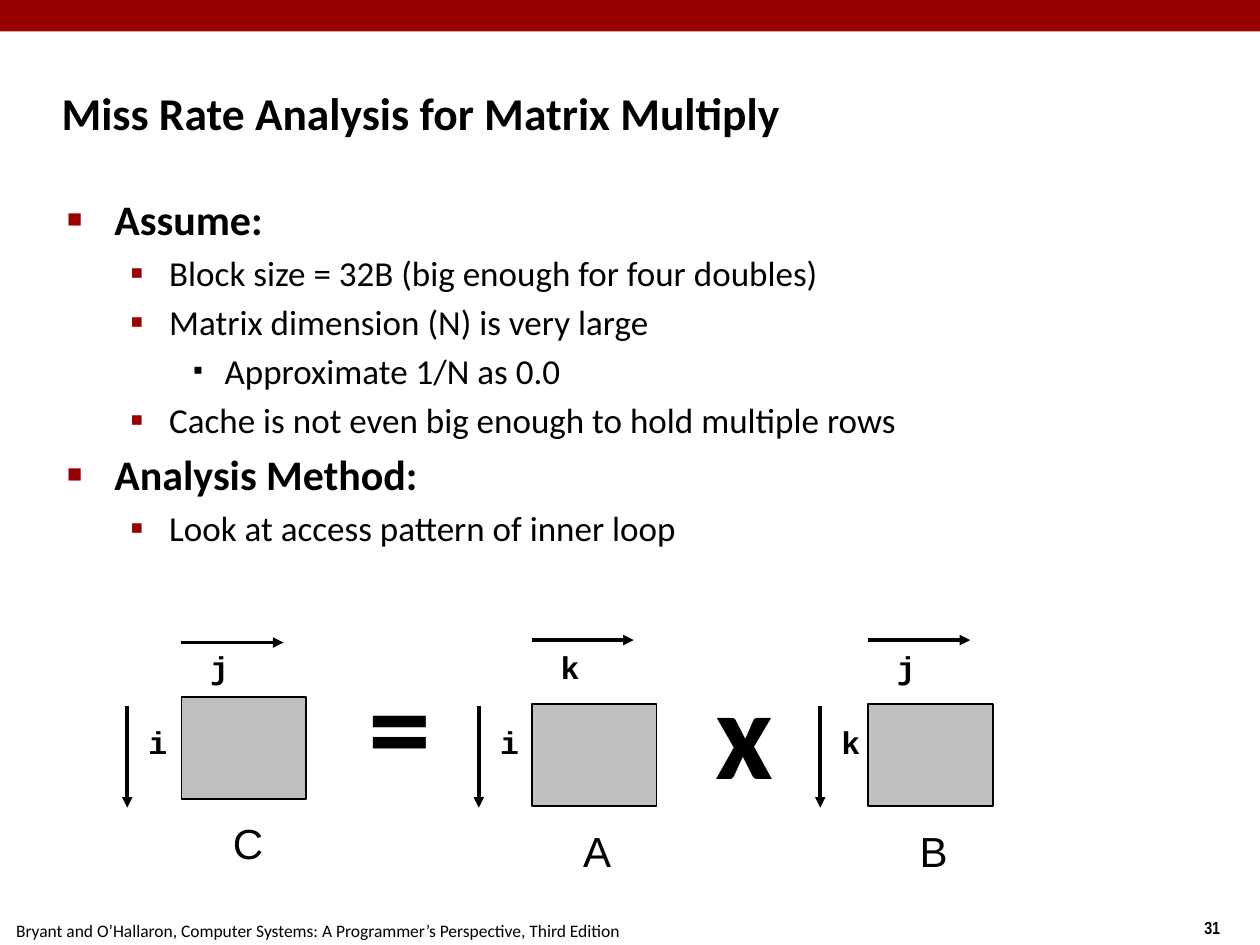
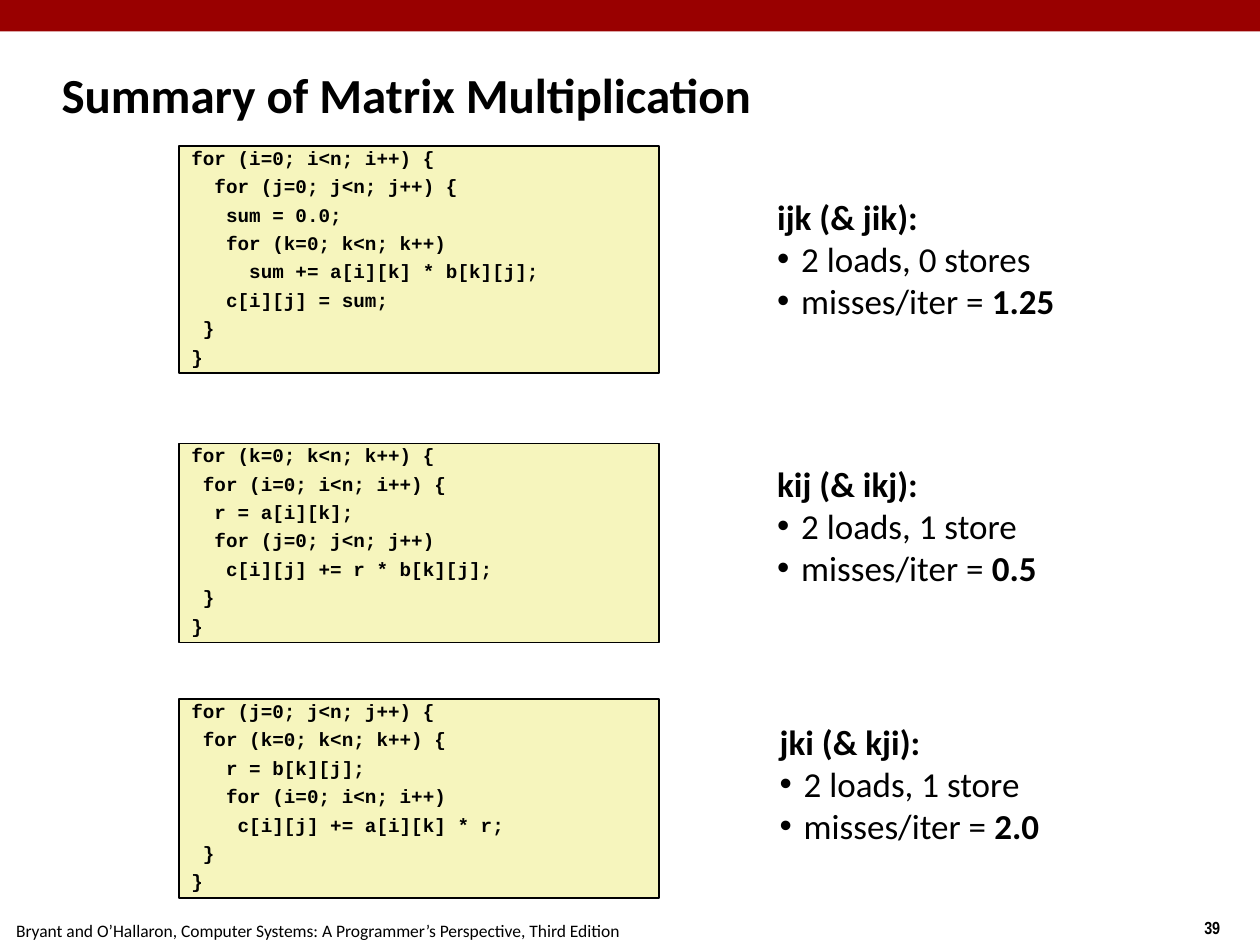
import lxml.etree
import pptx
import pptx.dml.color
import pptx.enum.shapes
import pptx.enum.text
import pptx.oxml.ns
import pptx.util

rgb = pptx.dml.color.RGBColor.from_string
qn = pptx.oxml.ns.qn
RED, BLACK, GRAY, CREAM = "990000", "000000", "BFBFBF", "F6F5BD"
FOOTER = "Bryant and O’Hallaron, Computer Systems: A Programmer’s Perspective, Third Edition"

presentation = pptx.Presentation()
presentation.slide_width = pptx.util.Inches(10)
presentation.slide_height = pptx.util.Inches(7.5)
COLUMN = presentation.slide_width // 100
ROW = presentation.slide_height // 75

# Bullet styles: character, colour, size in percent, text margin and hang in columns
SECTION = ("■", RED, 60, 3.75, 3.75)
POINT = ("▪", RED, 110, 8.1, 3.1)
DETAIL = ("▪", BLACK, 80, 12.5, 2.5)
NOTE = ("•", BLACK, 100, 1.9, 1.9)


def add_text_box(slide, left, top, width, height):
    """Add an empty wrapping text box, placed in columns and rows."""
    shape = slide.shapes.add_textbox(
        round(left * COLUMN), round(top * ROW), round(width * COLUMN), round(height * ROW))
    shape.text_frame.word_wrap = True
    return shape


def write(shape, text, size, bold=False, font="Calibri", bullet=None, before=0):
    """Add one paragraph to the shape, filling its empty first one if there is one."""
    frame = shape.text_frame
    first = not frame.text
    paragraph = frame.paragraphs[0] if first else frame.add_paragraph()
    paragraph.text = text
    if bullet:
        character, color, percent, margin, hang = bullet
        properties = paragraph._p.get_or_add_pPr()
        properties.set("marL", str(round(margin * COLUMN)))
        properties.set("indent", str(round(-hang * COLUMN)))
        bullet_color = lxml.etree.SubElement(properties, qn("a:buClr"))
        lxml.etree.SubElement(bullet_color, qn("a:srgbClr"), val=color)
        lxml.etree.SubElement(properties, qn("a:buSzPct"), val=str(percent * 1000))
        lxml.etree.SubElement(properties, qn("a:buFont"), typeface="Arial")
        lxml.etree.SubElement(properties, qn("a:buChar"), char=character)
    if not first:
        paragraph.space_before = pptx.util.Pt(before)
    paragraph.font.name = font
    paragraph.font.size = pptx.util.Pt(size)
    paragraph.font.bold = bold
    paragraph.font.color.rgb = rgb(BLACK)
    return paragraph


# Both slides: band, title, footer and number
slides = []
for title, title_top, title_size, number in [
    ("Miss Rate Analysis for Matrix Multiply", 4.8, 26, "31"),
    ("Summary of Matrix Multiplication", 3.3, 28, "39"),
]:
    slide = presentation.slides.add_slide(presentation.slide_layouts[6])
    slides.append(slide)
    band = slide.shapes.add_shape(
        pptx.enum.shapes.MSO_SHAPE.RECTANGLE, 0, 0, 100 * COLUMN, round(2.5 * ROW))
    band.shadow.inherit = False
    band.fill.solid()
    band.fill.fore_color.rgb = rgb(RED)
    band.line.fill.background()
    title_box = add_text_box(slide, 3.9, title_top, 83, 8.3)
    title_box.text_frame.vertical_anchor = pptx.enum.text.MSO_ANCHOR.MIDDLE
    write(title_box, title, title_size, bold=True)
    write(add_text_box(slide, 94.6, 72.3, 5.4, 2.7), number, 10, bold=True, font="Arial Narrow")
    write(add_text_box(slide, 0.3, 72.5, 60, 2.5), FOOTER, 10)
analysis, summary = slides

# Analysis: assumptions and method
body = add_text_box(analysis, 4.35, 14.9, 86.4, 30)
for text, bullet in [
    ("Assume:", SECTION),
    ("Block size = 32B (big enough for four doubles)", POINT),
    ("Matrix dimension (N) is very large", POINT),
    ("Approximate 1/N as 0.0", DETAIL),
    ("Cache is not even big enough to hold multiple rows", POINT),
    ("Analysis Method:", SECTION),
    ("Look at access pattern of inner loop", POINT),
]:
    if bullet == SECTION:
        write(body, text, 24, bold=True, bullet=bullet, before=4.8)
    else:
        write(body, text, 20, bullet=bullet, before=4)

# Analysis: C = A x B, each matrix with its row and column index
for name, row_index, column_index, left, top, arrow_left, arrow_top in [
    ("C", "i", "j", 14.4, 55.3, 10.1, 51),
    ("A", "i", "k", 42.2, 55.9, 38, 50.8),
    ("B", "k", "j", 68.9, 55.9, 65.1, 50.8),
]:
    matrix = analysis.shapes.add_shape(
        pptx.enum.shapes.MSO_SHAPE.RECTANGLE,
        round(left * COLUMN), round(top * ROW), round(9.9 * COLUMN), round(8.1 * ROW))
    matrix.shadow.inherit = False
    matrix.fill.solid()
    matrix.fill.fore_color.rgb = rgb(GRAY)
    matrix.line.color.rgb = rgb(BLACK)
    matrix.line.width = pptx.util.Pt(1)
    for start_x, start_y, end_x, end_y in [
        (left, arrow_top, left + 8.1, arrow_top),
        (arrow_left, 56, arrow_left, 64.1),
    ]:
        arrow = analysis.shapes.add_connector(
            pptx.enum.shapes.MSO_CONNECTOR.STRAIGHT,
            round(start_x * COLUMN), round(start_y * ROW),
            round(end_x * COLUMN), round(end_y * ROW))
        arrow.line.color.rgb = rgb(BLACK)
        arrow.line.width = pptx.util.Pt(2)
        lxml.etree.SubElement(arrow.line._get_or_add_ln(), qn("a:tailEnd"), type="triangle")
        lxml.etree.SubElement(arrow._element.spPr, qn("a:effectLst"))
    for index, label_left, label_top in [
        (column_index, left + 1.3, 50.9),
        (row_index, arrow_left + 0.7, 56.9),
    ]:
        label = add_text_box(analysis, label_left, label_top, 3.5, 4)
        write(label, index, 18, bold=True, font="Courier New")
    write(add_text_box(analysis, left + 3.1, top + 9.1, 4.4, 5), name, 24, font="Arial")

for operator, left, top in [("=", 28.3, 50.8), ("x", 55.8, 51.4)]:
    write(add_text_box(analysis, left, top, 5.8, 13), operator, 72, bold=True)

# Summary: one loop order per row, code on the left and its cost on the right
ijk_code = """for (i=0; i<n; i++) {
  for (j=0; j<n; j++) {
   sum = 0.0;
   for (k=0; k<n; k++)
     sum += a[i][k] * b[k][j];
   c[i][j] = sum;
 }
}"""
kij_code = """for (k=0; k<n; k++) {
 for (i=0; i<n; i++) {
  r = a[i][k];
  for (j=0; j<n; j++)
   c[i][j] += r * b[k][j];
 }
}"""
jki_code = """for (j=0; j<n; j++) {
 for (k=0; k<n; k++) {
   r = b[k][j];
   for (i=0; i<n; i++)
    c[i][j] += a[i][k] * r;
 }
}"""
for code, code_top, code_height, order, accesses, misses, note_left, note_top in [
    (ijk_code, 11.6, 18, "ijk (& jik):", "2 loads, 0 stores", "1.25", 60.7, 15),
    (kij_code, 35.2, 15.8, "kij (& ikj):", "2 loads, 1 store", "0.5", 60.7, 36.2),
    (jki_code, 55.5, 15.8, "jki (& kji):", "2 loads, 1 store", "2.0", 60.9, 56.7),
]:
    code_box = add_text_box(summary, 14.2, code_top, 38.1, code_height)
    code_box.fill.solid()
    code_box.fill.fore_color.rgb = rgb(CREAM)
    code_box.line.color.rgb = rgb(BLACK)
    code_box.line.width = pptx.util.Pt(1)
    for code_line in code.splitlines():
        paragraph = write(code_box, code_line, 11, bold=True, font="Courier New", before=7)
        paragraph.line_spacing = 0.7
    note = add_text_box(summary, note_left, note_top, 28, 11)
    write(note, order, 20, bold=True)
    write(note, accesses, 20, bullet=NOTE)
    run = write(note, "misses/iter = ", 20, bullet=NOTE).add_run()
    run.text = misses
    run.font.bold = True

presentation.save("out.pptx")
